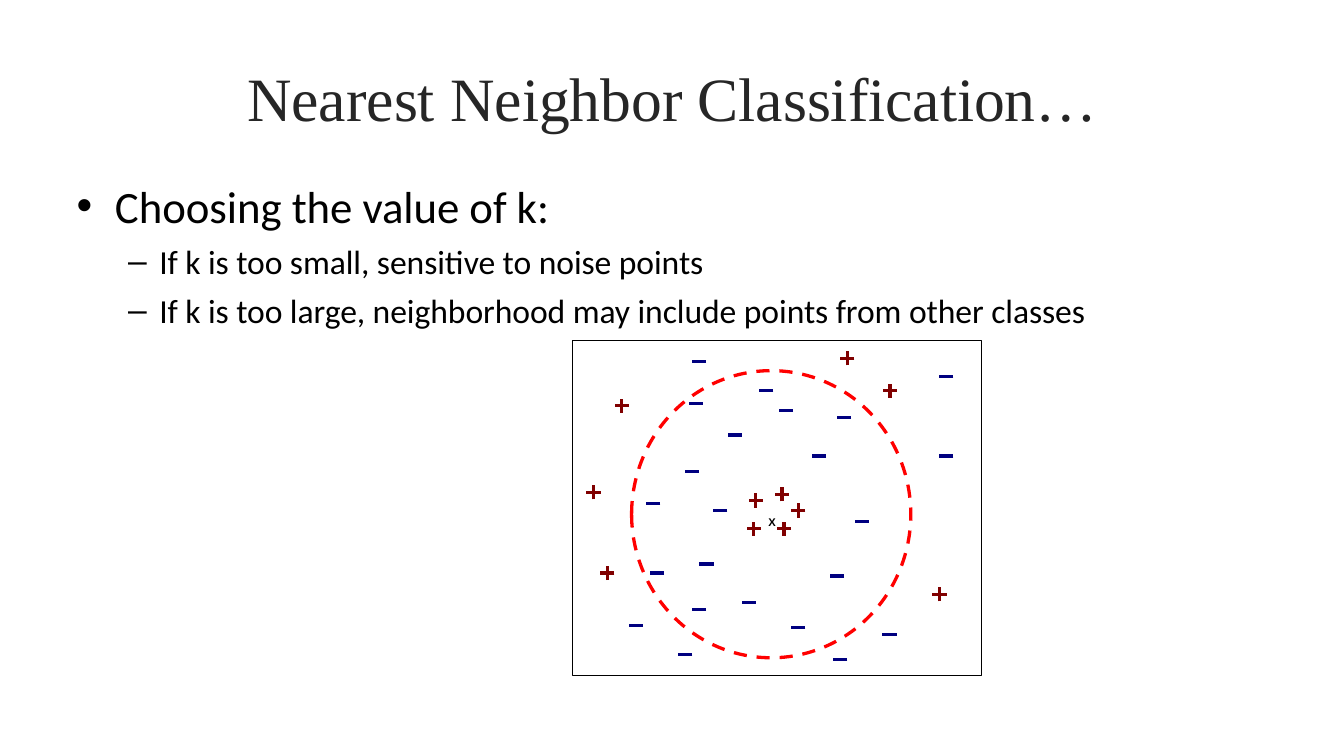
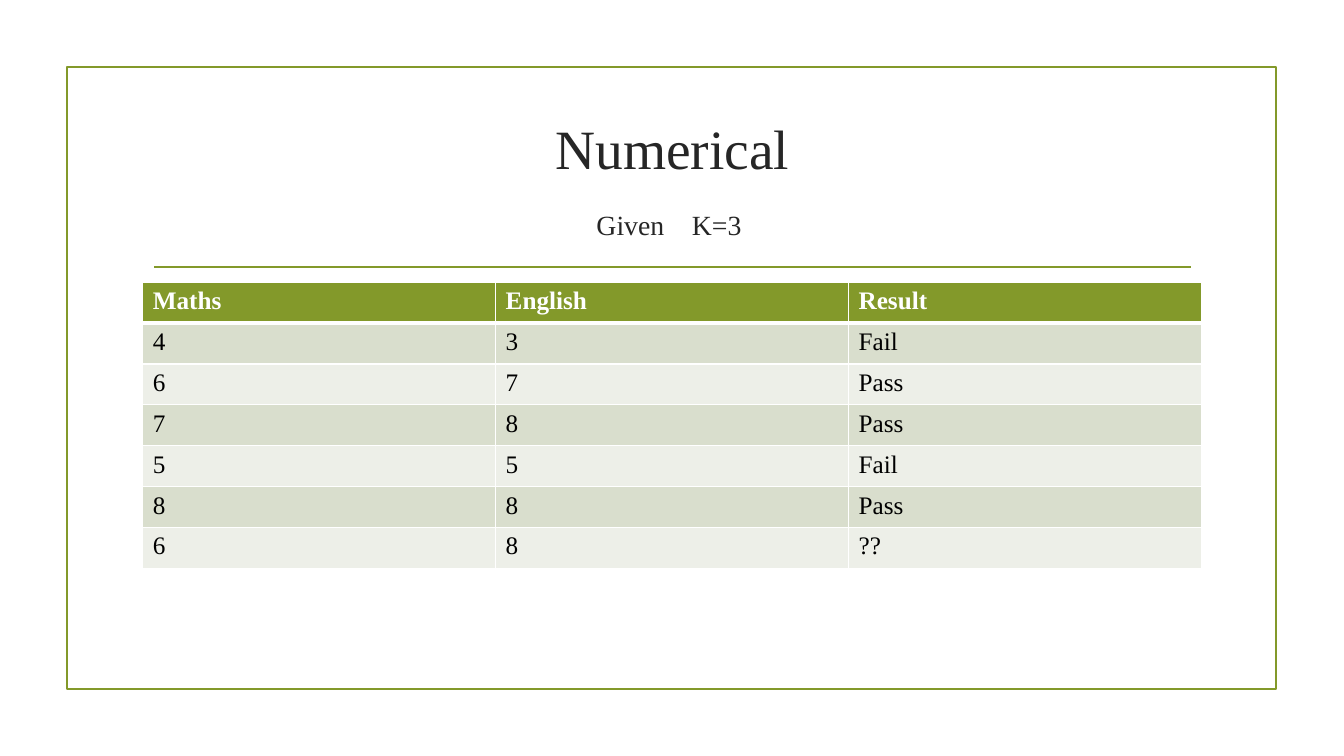
from collections import namedtuple

from lxml import etree
from pptx import Presentation
from pptx.dml.color import RGBColor
from pptx.enum.dml import MSO_LINE
from pptx.enum.shapes import MSO_CONNECTOR, MSO_SHAPE
from pptx.enum.text import MSO_ANCHOR, MSO_AUTO_SIZE, PP_ALIGN
from pptx.oxml import parse_xml
from pptx.oxml.ns import nsdecls, qn
from pptx.util import Inches, Pt

COLORS = {
    "title": "262626", "text": "000000", "white": "FFFFFF", "green": "83992A",
    "band_dark": "D9DECD", "band_light": "EDEFE8",
    "ring": "FF0000", "plus": "800000", "minus": "000080",
}
SERIF, SANS, LABEL = "Times New Roman", "Calibri", "Arial"
SLIDE_W, SLIDE_H = Inches(13.33), Inches(7.5)
MARK = Inches(0.14)

Box = namedtuple("Box", "x y w h")
SLIDE = Box(0, 0, SLIDE_W, SLIDE_H)

BULLETS = [
    (0, "Choosing the value of k:"),
    (1, "If k is too small, sensitive to noise points"),
    (1, "If k is too large, neighborhood may include points from other classes"),
]
LEVELS = [(32, 0.39, -0.38), (24, 0.83, -0.31)]

CLUSTERS = [
    ("plus", [(89.7, 75.9)]),
    ("minus", [(91.4, 34.6)]),
    ("minus", [(31, 6.3)]),
    ("minus", [(91.4, 10.8)]),
    ("plus", [(44.3, 56.3), (44.8, 47.9), (51.7, 56.3), (51.2, 46.1)]),
    ("minus", [(66.4, 23.2), (39.7, 28.3), (32.8, 66.9), (29.3, 39.2),
               (31, 80.4), (30.2, 19)]),
    ("plus", [(55.2, 50.9)]),
    ("minus", [(19.8, 48.8), (52.2, 21.1), (20.7, 69.6)]),
    ("plus", [(77.6, 15.1), (12.1, 19.6), (8.6, 69.6), (5.2, 45.5)]),
    ("minus", [(36.2, 50.9), (60.3, 34.6), (47.4, 15.1), (43.1, 78.3),
               (64.7, 70.5), (70.7, 54.2), (55.2, 85.8), (15.5, 85.2),
               (77.5, 88), (27.6, 94), (65.5, 95.5)]),
    ("plus", [(67.2, 5.4)]),
]
MARKS_TABLE = [
    ("Maths", "English", "Result"),
    ("4", "3", "Fail"),
    ("6", "7", "Pass"),
    ("7", "8", "Pass"),
    ("5", "5", "Fail"),
    ("8", "8", "Pass"),
    ("6", "8", "??"),
]


def rgb(name):
    return RGBColor.from_string(COLORS[name])


def part(box, x, y, w, h):
    return Box(int(box.x + box.w * x / 100), int(box.y + box.h * y / 100),
               int(box.w * w / 100), int(box.h * h / 100))


def place(sp, box):
    sp.left, sp.top, sp.width, sp.height = box


def style(run, size, color, font=SERIF, bold=False):
    run.font.size, run.font.name, run.font.bold = Pt(size), font, bold
    run.font.color.rgb = rgb(color)


def track(run, spacing):
    run._r.get_or_add_rPr().set("spc", str(spacing))


def clear_insets(tf):
    tf.margin_left = tf.margin_top = tf.margin_right = tf.margin_bottom = 0


def set_outline(sp, color, width):
    sp.shadow.inherit = False
    sp.fill.background()
    sp.line.color.rgb = rgb(color)
    sp.line.width = Pt(width)
    return sp


def add_outline(slide, preset, box, color, width):
    return set_outline(slide.shapes.add_shape(preset, *box), color, width)


def set_title(slide, top, lines):
    title = slide.shapes.title
    place(title, part(SLIDE, 10.65, top, 78.77, 19.07))
    tf = title.text_frame
    tf.word_wrap, tf.auto_size = True, MSO_AUTO_SIZE.NONE
    tf.vertical_anchor = MSO_ANCHOR.MIDDLE
    p = tf.paragraphs[0]
    p.alignment = PP_ALIGN.CENTER
    for i, pieces in enumerate(lines):
        if i:
            p.add_line_break()
        for text, size in pieces:
            r = p.add_run()
            r.text = text
            style(r, size, "title")
    return p


def fill_bullets(body, box):
    place(body, box)
    tf = body.text_frame
    tf.word_wrap, tf.auto_size = True, MSO_AUTO_SIZE.NONE
    clear_insets(tf)
    tf.margin_top = Inches(0.13)
    tf.text = "\n".join(text for _, text in BULLETS)
    for i, (p, (level, _)) in enumerate(zip(tf.paragraphs, BULLETS)):
        size, left, hang = LEVELS[level]
        p.level = level
        p.space_before = Pt(6.2 if i else 0)
        pPr = p._p.get_or_add_pPr()
        pPr.set("marL", str(Inches(left)))
        pPr.set("indent", str(Inches(hang)))
        style(p.runs[0], size, "text", SANS)
        track(p.runs[0], -7)


def mark_strokes(center, kind):
    x, y, half = center.x, center.y, MARK // 2
    strokes = [((x + half, y), (x - half, y))]
    if kind == "plus":
        strokes.append(((x, y + half), (x, y - half)))
    return strokes


def add_cluster(slide, box, kind, points):
    strokes = [stroke for point in points
               for stroke in mark_strokes(part(box, *point, 0, 0), kind)]
    (start, end), *others = strokes
    outline = slide.shapes.build_freeform(*start)
    outline.add_line_segments([end], close=False)
    for start, end in others:
        outline.move_to(*start)
        outline.add_line_segments([end], close=False)
    set_outline(outline.convert_to_shape(), kind, 2.35)


def add_scatter(slide, box):
    ring = add_outline(slide, MSO_SHAPE.OVAL, part(box, 14.5, 9.1, 68.2, 85.8),
                       "ring", 2.35)
    ring.line.dash_style = MSO_LINE.DASH
    field = add_outline(slide, MSO_SHAPE.RECTANGLE, box, "text", 0.25)
    tf = field.text_frame
    clear_insets(tf)
    tf.word_wrap = True
    tf.vertical_anchor = MSO_ANCHOR.MIDDLE
    tf.margin_top, tf.margin_right = Inches(0.28), Inches(0.1)
    tf.text = "X"
    p = tf.paragraphs[0]
    p.alignment = PP_ALIGN.CENTER
    style(p.runs[0], 8, "text", LABEL, True)
    for kind, points in CLUSTERS:
        add_cluster(slide, box, kind, points)


def add_frame(slide, box):
    add_outline(slide, MSO_SHAPE.RECTANGLE, part(box, 4.97, 8.9, 90, 82.3),
                "green", 1.25)
    rule = part(box, 11.48, 35.33, 77.12, 0)
    ln = slide.shapes.add_connector(MSO_CONNECTOR.STRAIGHT, rule.x, rule.y,
                                    rule.x + rule.w, rule.y)
    ln.line.color.rgb = rgb("green")
    ln.line.width = Pt(1.25)
    etree.SubElement(ln._element.spPr, qn("a:effectLst"))


def set_borders(cell, top, bottom):
    tcPr = cell._tc.get_or_add_tcPr()
    sides = [("lnL", 1), ("lnR", 1), ("lnT", top), ("lnB", bottom)]
    for i, (side, width) in enumerate(sides):
        tcPr.insert(i, parse_xml(
            f'<a:{side} {nsdecls("a")} w="{Pt(width)}"><a:solidFill>'
            f'<a:srgbClr val="{COLORS["white"]}"/></a:solidFill></a:{side}>'))


def add_marks_table(slide, box):
    n_rows, n_cols = len(MARKS_TABLE), len(MARKS_TABLE[0])
    table = slide.shapes.add_table(n_rows, n_cols, *box).table
    for col in table.columns:
        col.width = box.w // n_cols
    for i, values in enumerate(MARKS_TABLE):
        table.rows[i].height = box.h // n_rows
        header = i == 0
        band = "green" if header else ("band_light", "band_dark")[i % 2]
        for j, value in enumerate(values):
            cell = table.cell(i, j)
            cell.text = value
            cell.fill.solid()
            cell.fill.fore_color.rgb = rgb(band)
            set_borders(cell, 3 if i == 1 else 1, 3 if header else 1)
            style(cell.text_frame.paragraphs[0].runs[0], 18,
                  "white" if header else "text", bold=header)


def neighbor_slide(prs):
    slide = prs.slides.add_slide(prs.slide_layouts[1])
    p = set_title(slide, 3.3, [[("Nearest Neighbor Classification…", 44)]])
    track(p.runs[0], -7)
    fill_bullets(slide.placeholders[1], part(SLIDE, 5.63, 21.87, 75.54, 21.87))
    add_scatter(slide, part(SLIDE, 42.58, 45, 30.46, 44.27))


def numerical_slide(prs):
    slide = prs.slides.add_slide(prs.slide_layouts[5])
    add_frame(slide, SLIDE)
    p = set_title(slide, 14.3, [
        [("Numerical", 39.6)],
        [("Given", 19.8), (" ", 39.6), ("K=3 ", 19.8)],
    ])
    track(p.runs[2], 990)
    add_marks_table(slide, part(SLIDE, 10.62, 37.33, 78.77, 37.87))


def main():
    prs = Presentation()
    prs.slide_width, prs.slide_height = SLIDE_W, SLIDE_H
    neighbor_slide(prs)
    numerical_slide(prs)
    prs.save("out.pptx")


if __name__ == "__main__":
    main()
